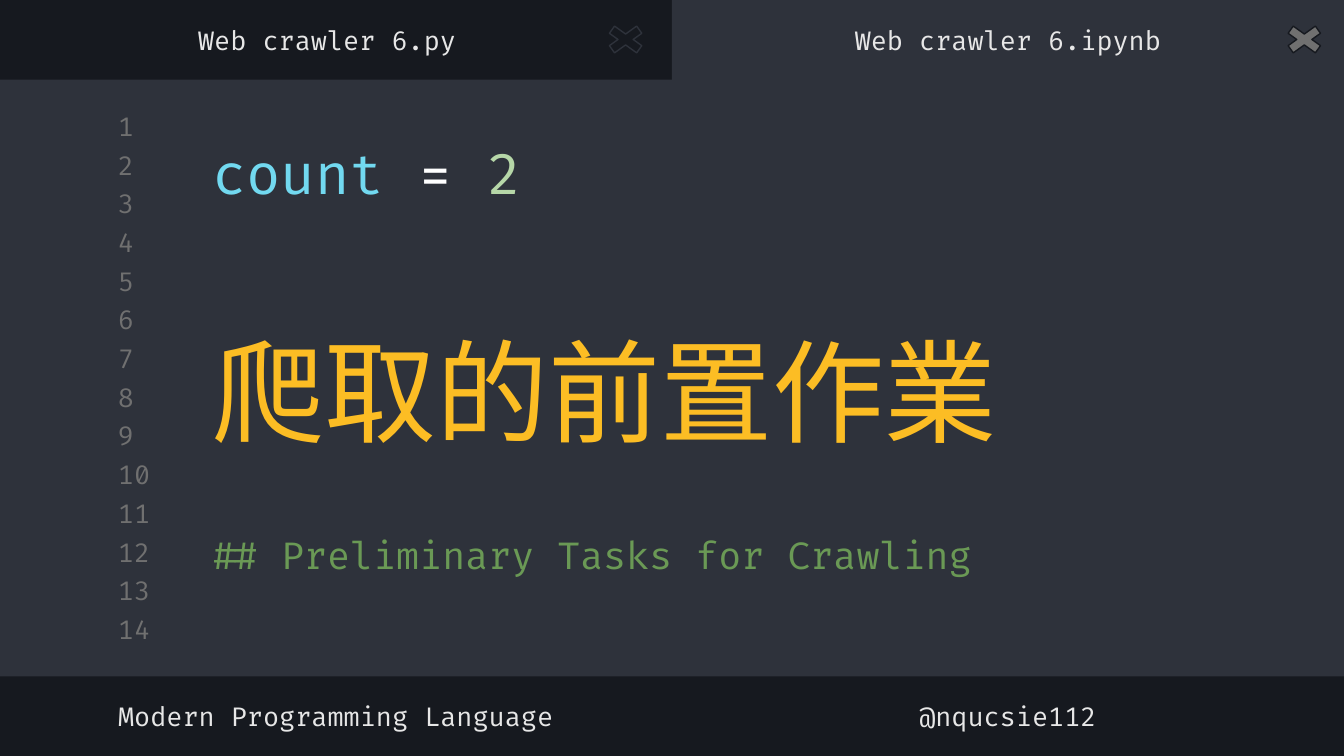
from pptx import Presentation
from pptx.dml.color import RGBColor
from pptx.enum.shapes import MSO_SHAPE
from pptx.enum.text import MSO_ANCHOR, PP_ALIGN
from pptx.oxml.ns import qn
from pptx.util import Inches, Pt

RECTANGLE, CROSS = MSO_SHAPE.RECTANGLE, MSO_SHAPE.MATH_MULTIPLY
TOP, MIDDLE = MSO_ANCHOR.TOP, MSO_ANCHOR.MIDDLE
LEFT, CENTER = PP_ALIGN.LEFT, PP_ALIGN.CENTER

FONT = "Fira Code"
WIDTH = Inches(10)
HEIGHT = WIDTH * 9 // 16
COLUMN = ROW = WIDTH / 100
HALF = 50
GUTTER, CODE = 7.8, 14.8
FIRST_LINE, LINE_PITCH, LINE_COUNT = 8.17, 2.88, 14
TAB_TEXT, FOOTER_TEXT, BAR_TEXT_HEIGHT = 1, 51.35, 3.9

COLORS = {
    "bar": "16191F",
    "editor": "2E323B",
    "muted": "707070",
    "label": "E7E7E7",
    "variable": "72D9F0",
    "operator": "FFFFFF",
    "number": "B6D7A8",
    "title": "FCBD24",
    "comment": "6A9955",
}


def color(name):
    """Return the named colour of the editor theme."""
    return RGBColor.from_string(COLORS[name])


def place(column, row, columns, rows):
    """Turn grid columns and rows into slide lengths."""
    return (round(column * COLUMN), round(row * ROW),
            round(columns * COLUMN), round(rows * ROW))


def add_text(slide, cell, *parts, size=14, align=LEFT, anchor=MIDDLE):
    """Write one line made of (text, colour name) parts."""
    box = slide.shapes.add_textbox(*place(*cell))
    frame = box.text_frame
    frame.word_wrap = True
    frame.vertical_anchor = anchor
    frame.margin_left = frame.margin_right = Inches(0.1)
    frame.margin_top = frame.margin_bottom = Inches(0.1)
    line = frame.paragraphs[0]
    line.alignment = align
    for text, tint in parts:
        run = line.add_run()
        run.text = text
        run.font.name = FONT
        run.font.size = Pt(size)
        run.font.color.rgb = color(tint)
        east_asian = run.font._element.makeelement(qn("a:ea"), {"typeface": FONT})
        run.font._element.append(east_asian)


def add_panel(slide, cell, kind=RECTANGLE, fill="editor", outline=None):
    """Draw a flat preset shape, outlined only when asked."""
    panel = slide.shapes.add_shape(kind, *place(*cell))
    panel.shadow.inherit = False
    panel.fill.solid()
    panel.fill.fore_color.rgb = color(fill)
    if outline:
        panel.line.color.rgb = color(outline)
        panel.line.width = Pt(0.75)
    else:
        panel.line.fill.background()
    return panel


def add_close_mark(slide, column, fill, outline):
    """Draw the closing cross of a tab."""
    cross = add_panel(slide, (column, 1.54, 3.9, 2.8), CROSS, fill, outline)
    cross.adjustments[0] = 0.235


def add_line_numbers(slide):
    """Number the editor lines down the gutter."""
    for index in range(LINE_COUNT):
        row = FIRST_LINE + index * LINE_PITCH
        add_text(slide, (GUTTER, row, 4.7, 2.4), (str(index + 1), "muted"))


def add_bar_label(slide, text, column, row, columns=HALF, align=CENTER):
    """Label a tab or a part of the footer."""
    add_text(slide, (column, row, columns, BAR_TEXT_HEIGHT),
             (text, "label"), align=align)


def main():
    """Build the code editor slide."""
    deck = Presentation()
    deck.slide_width, deck.slide_height = WIDTH, HEIGHT
    slide = deck.slides.add_slide(deck.slide_layouts[6])
    slide.background.fill.solid()
    slide.background.fill.fore_color.rgb = color("bar")

    add_panel(slide, (0, 5.93, 100, 44.4))
    add_panel(slide, (HALF, 0, HALF, 6.9))
    add_line_numbers(slide)

    add_bar_label(slide, "Modern Programming Language", GUTTER, FOOTER_TEXT, 53.2, LEFT)
    add_bar_label(slide, "Web crawler 6.py ", -0.05, TAB_TEXT)
    add_bar_label(slide, "Web crawler 6.ipynb", HALF, TAB_TEXT)
    add_bar_label(slide, "@nqucsie112", HALF, FOOTER_TEXT)
    add_close_mark(slide, 44.6, "bar", "editor")
    add_close_mark(slide, 95.1, "muted", "bar")

    add_text(slide, (CODE, 9.3, 29.8, 7.1), ("count ", "variable"),
             ("= ", "operator"), ("2", "number"), size=30, anchor=TOP)
    add_text(slide, (CODE, 23, 66.6, 12.1), ("爬取的前置作業", "title"),
             size=60, anchor=TOP)
    add_text(slide, (CODE, 38.6, 59.8, 4.8),
             ("## Preliminary Tasks for Crawling", "comment"), size=20, anchor=TOP)
    deck.save("out.pptx")


if __name__ == "__main__":
    main()
